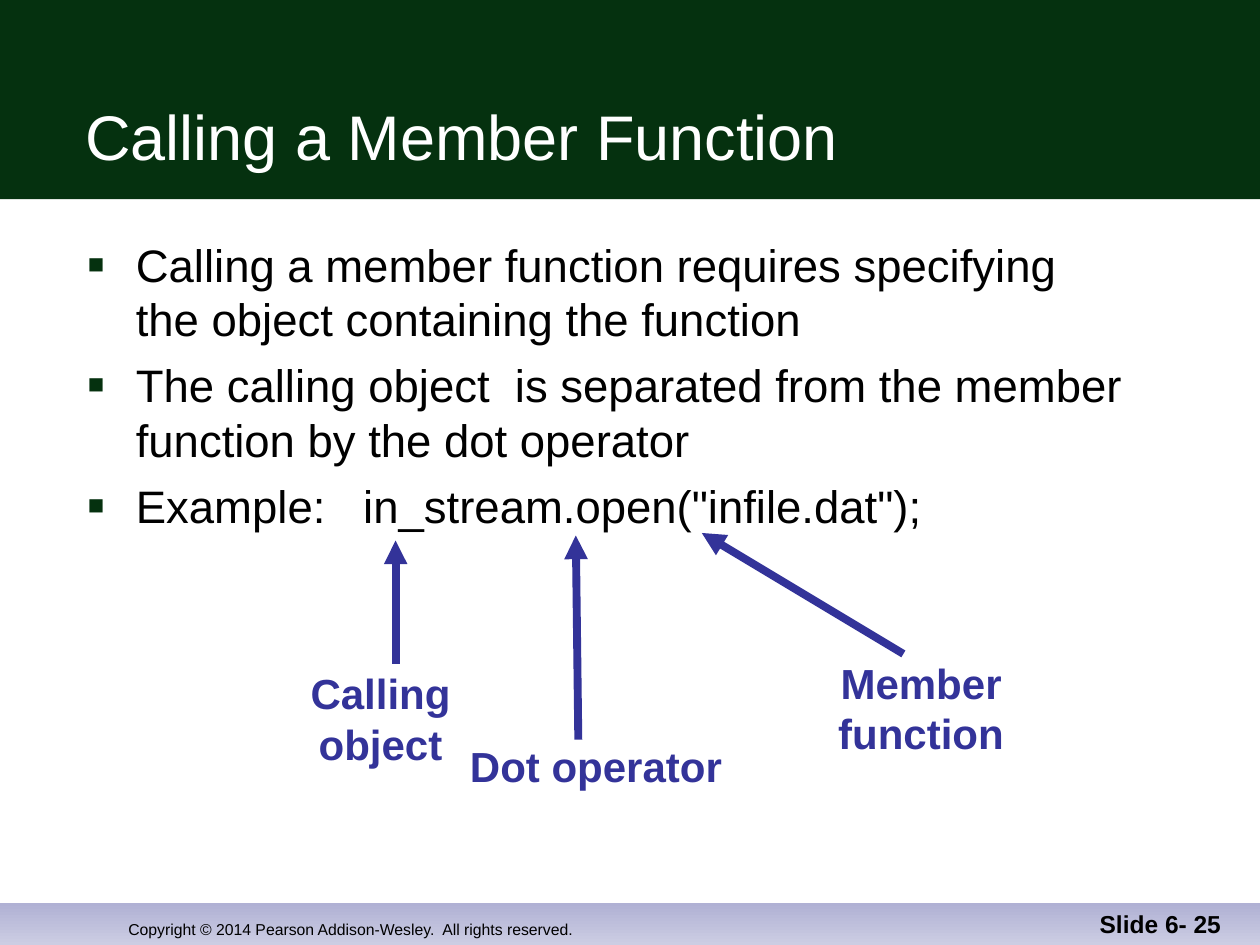
from pptx import Presentation
from pptx.dml.color import RGBColor
from pptx.enum.shapes import MSO_CONNECTOR, MSO_SHAPE
from pptx.enum.text import MSO_ANCHOR, MSO_AUTO_SIZE, PP_ALIGN
from pptx.oxml.ns import qn
from pptx.util import Inches, Pt
from lxml.etree import SubElement

GREEN, BLUE, BLACK, WHITE = "05310F", "333399", "000000", "FFFFFF"
TITLE = "Calling a Member Function"
POINTS = [
    "Calling a member function requires specifying \vthe object containing the function",
    "The calling object  is separated from the member \vfunction by the dot operator",
    'Example:   in_stream.open("infile.dat");',
]
RIGHTS = "Copyright © 2014 Pearson Addison-Wesley.  All rights reserved."
PAGE = "Slide 6- 25"
LABELS = [
    ("Calling object", (1.83, 5.25, 2.38, 0.5), (3.14, 5.27), (3.14, 4.29)),
    ("Dot operator", (3.63, 5.83, 2.2, 0.5), (4.59, 5.87), (4.57, 4.25)),
    ("Member function", (5.87, 5.17, 2.88, 0.5), (7.17, 5.19), (5.57, 4.23)),
]


def color(code):
    return RGBColor.from_string(code)


def add_text(slide, lines, box, size, code, bold=False, align=PP_ALIGN.LEFT,
             anchor=MSO_ANCHOR.BOTTOM):
    frame = slide.shapes.add_textbox(*map(Inches, box)).text_frame
    frame.word_wrap, frame.vertical_anchor = True, anchor
    for i, line in enumerate(lines):
        para = frame.add_paragraph() if i else frame.paragraphs[0]
        para.text, para.alignment = line, align
        for run in para.runs:
            font = run.font
            font.name, font.size, font.bold = "Arial", Pt(size), bold
            font.color.rgb = color(code)
    return frame


def add_band(slide, top, height):
    band = slide.shapes.add_shape(
        MSO_SHAPE.RECTANGLE, 0, Inches(top), Inches(10), Inches(height))
    band.shadow.inherit = False
    band.line.fill.background()
    return band.fill


def add_bullet(para):
    props = para._p.get_or_add_pPr()
    props.set("marL", str(Inches(0.38)))
    props.set("indent", str(-Inches(0.38)))
    tint = SubElement(props, qn("a:buClr"))
    SubElement(tint, qn("a:srgbClr"), val=GREEN)
    SubElement(props, qn("a:buSzPct"), val="60000")
    SubElement(props, qn("a:buFont"), typeface="Arial")
    SubElement(props, qn("a:buChar"), char="■")


def add_arrow(slide, start, end):
    arrow = slide.shapes.add_connector(
        MSO_CONNECTOR.STRAIGHT, *map(Inches, start + end))
    arrow.line.color.rgb = color(BLUE)
    arrow.line.width = Pt(4.5)
    SubElement(arrow.line._get_or_add_ln(), qn("a:tailEnd"), type="triangle")
    SubElement(arrow._element.spPr, qn("a:effectLst"))


def main():
    """Build the slide on calling a member function."""
    deck = Presentation()
    deck.slide_width, deck.slide_height = Inches(10), Inches(7.5)
    slide = deck.slides.add_slide(deck.slide_layouts[6])

    foot = add_band(slide, 7.17, 0.33)
    foot.gradient()
    foot.gradient_angle = 270
    for stop, code in zip(foot.gradient_stops, ("B0B1D4", "CCCDE3")):
        stop.color.rgb = color(code)
    head = add_band(slide, 0, 1.58)
    head.solid()
    head.fore_color.rgb = color(GREEN)

    add_text(slide, [RIGHTS], (0.92, 7, 4.92, 0.5), 9, BLACK)
    add_text(slide, [TITLE], (0.58, 0.33, 9.08, 1.09), 36, WHITE)
    body = add_text(slide, POINTS, (0.6, 1.83, 9.07, 5), 26, BLACK,
                    anchor=MSO_ANCHOR.TOP)
    body.margin_right = 0
    for i, para in enumerate(body.paragraphs):
        if i:
            para.space_before = Pt(6.5)
        add_bullet(para)
    add_text(slide, [PAGE], (7.71, 7, 2.08, 0.5), 14, BLACK, True, PP_ALIGN.RIGHT)

    for name, box, start, end in LABELS:
        label = add_text(slide, [name], box, 24, BLUE, True,
                         PP_ALIGN.CENTER, MSO_ANCHOR.TOP)
        label.word_wrap = False
        label.auto_size = MSO_AUTO_SIZE.SHAPE_TO_FIT_TEXT
        add_arrow(slide, start, end)
    deck.save("out.pptx")


if __name__ == "__main__":
    main()
